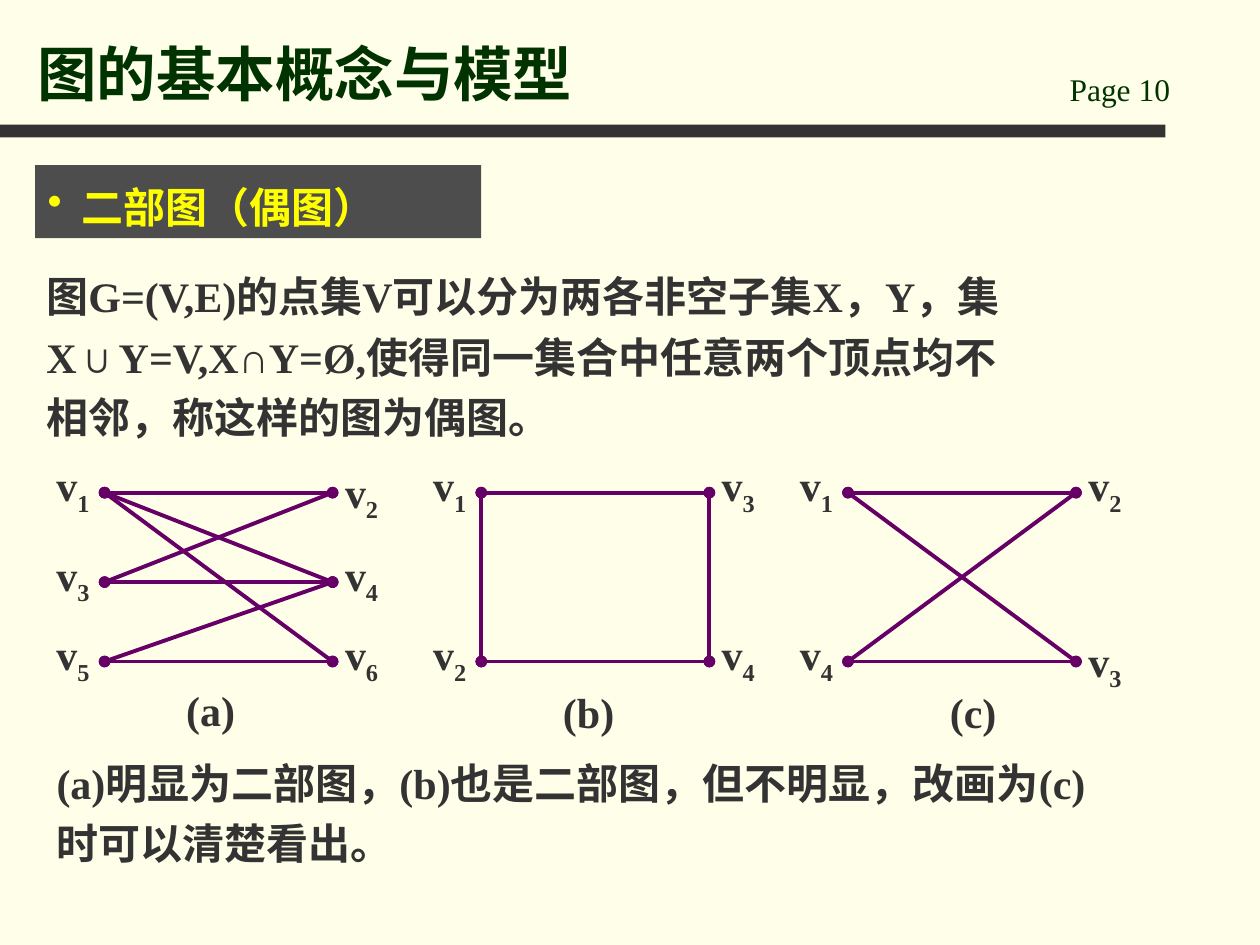
from lxml import etree
from pptx import Presentation
from pptx.dml.color import RGBColor
from pptx.enum.lang import MSO_LANGUAGE_ID as Language
from pptx.enum.shapes import MSO_CONNECTOR as Connector, MSO_SHAPE as Shape
from pptx.enum.text import MSO_ANCHOR as Anchor
from pptx.oxml.ns import qn
from pptx.util import Inches, Pt

GREEN, GRAY, PURPLE = "003300", "333333", "660066"
TOP, MIDDLE, BOTTOM = 3.91, 4.62, 5.25
SPAN = 1.81
LABEL_RISE, LABEL_OFFSET = 0.4, 0.48

# Vertices: name -> (side, height, label drop); side 0 is left, 1 is right.
GRAPHS = [
    {
        "left": 0.83,
        "vertices": {
            "1": (0, TOP, 0), "3": (0, MIDDLE, 0), "5": (0, BOTTOM, 0),
            "2": (1, TOP, 0.05), "4": (1, MIDDLE, 0), "6": (1, BOTTOM, 0),
        },
        "edges": ["12", "34", "56", "16", "14", "23", "45"],
        "caption": ("(a)", 1.38, 5.3),
    },
    {
        "left": 3.82,
        "vertices": {
            "1": (0, TOP, 0), "2": (0, BOTTOM, 0),
            "3": (1, TOP, 0), "4": (1, BOTTOM, 0),
        },
        "edges": ["13", "24", "12", "34"],
        "caption": ("(b)", 4.37, 5.32),
    },
    {
        "left": 6.73,
        "vertices": {
            "1": (0, TOP, 0), "4": (0, BOTTOM, 0),
            "2": (1, TOP, 0), "3": (1, BOTTOM, 0.05),
        },
        "edges": ["12", "43", "13", "24"],
        "caption": ("(c)", 7.44, 5.32),
    },
]


def color(value):
    return RGBColor.from_string(value)


class SlideBuilder:
    font_name = "Times New Roman"
    text_size = 24
    line_spacing = 1.2

    def __init__(self, slide):
        self.slide = slide

    def background(self, fill):
        self.slide.background.fill.solid()
        self.slide.background.fill.fore_color.rgb = color(fill)

    def rectangle(self, left, top, width, height, fill):
        shape = self.slide.shapes.add_shape(
            Shape.RECTANGLE, *map(Inches, (left, top, width, height)))
        shape.shadow.inherit = False
        shape.fill.solid()
        shape.fill.fore_color.rgb = color(fill)
        shape.line.fill.background()
        return shape

    def text(self, left, top, width, height, content, parent=None, size=text_size,
             fill=GRAY, bold=True, spacing=line_spacing, anchor=Anchor.TOP):
        box = (parent or self.slide).shapes.add_textbox(
            *map(Inches, (left, top, width, height)))
        frame = box.text_frame
        frame.word_wrap = True
        frame.vertical_anchor = anchor
        frame.text = content
        paragraph = frame.paragraphs[0]
        paragraph.line_spacing = spacing
        self.style(paragraph.runs[0], size, fill, bold)
        return paragraph

    def style(self, run, size=text_size, fill=GRAY, bold=True):
        font = run.font
        font.name = self.font_name
        font.size = Pt(size)
        font.bold = bold
        font.color.rgb = color(fill)
        font.language_id = Language.SIMPLIFIED_CHINESE

    def bullet_heading(self, left, top, width, height, content, back, fill):
        self.rectangle(left, top, width, height, back)
        paragraph = self.text(left, top, width, height, content, fill=fill)
        properties = paragraph._p.get_or_add_pPr()
        properties.set("marL", str(Inches(0.27)))
        properties.set("indent", str(Inches(-0.27)))
        etree.SubElement(properties, qn("a:buChar")).set("char", "•")

    def edge(self, group, start, end):
        """Draw a line with a round dot at each end."""
        connector = group.shapes.add_connector(
            Connector.STRAIGHT, *map(Inches, (*start, *end)))
        connector.line.color.rgb = color(PURPLE)
        connector.line.width = Pt(2.25)
        outline = connector.line._get_or_add_ln()
        for tag in ("a:headEnd", "a:tailEnd"):
            etree.SubElement(outline, qn(tag)).set("type", "oval")
        etree.SubElement(connector._element.spPr, qn("a:effectLst"))

    def vertex_label(self, group, left, top, number):
        paragraph = self.text(left, top, 0.87, 0.58, "v", group)
        subscript = paragraph.add_run()
        subscript.text = number
        self.style(subscript)
        subscript.font._element.set("baseline", "-25000")

    def graph(self, left, vertices, edges, caption):
        group = self.slide.shapes.add_group_shape()
        points = {name: (left + side * SPAN, y)
                  for name, (side, y, _) in vertices.items()}
        for first, second in edges:
            self.edge(group, points[first], points[second])
        for name, (side, y, drop) in vertices.items():
            label_left = points[name][0] - (0 if side else LABEL_OFFSET)
            self.vertex_label(group, label_left, y - LABEL_RISE + drop, name)
        content, caption_left, caption_top = caption
        self.text(caption_left, caption_top, 1.57, 0.58, content)


def main():
    presentation = Presentation()
    presentation.slide_width = Inches(10)
    presentation.slide_height = Inches(7.5)
    slide = presentation.slides.add_slide(presentation.slide_layouts[6])
    builder = SlideBuilder(slide)

    builder.background("FFFFE9")
    builder.rectangle(0, 0.99, 9.25, 0.1, GRAY)
    builder.text(8.39, 0.51, 1.42, 0.4, "Page 10", size=18, fill=GREEN,
                 bold=False, spacing=1)
    builder.text(0.2, 0.13, 8.03, 0.78, "图的基本概念与模型", size=34, fill=GREEN,
                 spacing=1, anchor=Anchor.BOTTOM)
    builder.bullet_heading(0.28, 1.31, 3.54, 0.58, "二部图（偶图）", "4D4D4D", "FFFF00")
    builder.text(0.27, 2.02, 7.8, 1.54,
                 "图G=(V,E)的点集V可以分为两各非空子集X，Y，集X∪Y=V,X∩Y=Ø,"
                 "使得同一集合中任意两个顶点均不相邻，称这样的图为偶图。")
    for graph in GRAPHS:
        builder.graph(**graph)
    builder.text(0.35, 5.88, 8.58, 1.06,
                 "(a)明显为二部图，(b)也是二部图，但不明显，改画为(c)时可以清楚看出。")
    presentation.save("out.pptx")


if __name__ == "__main__":
    main()
